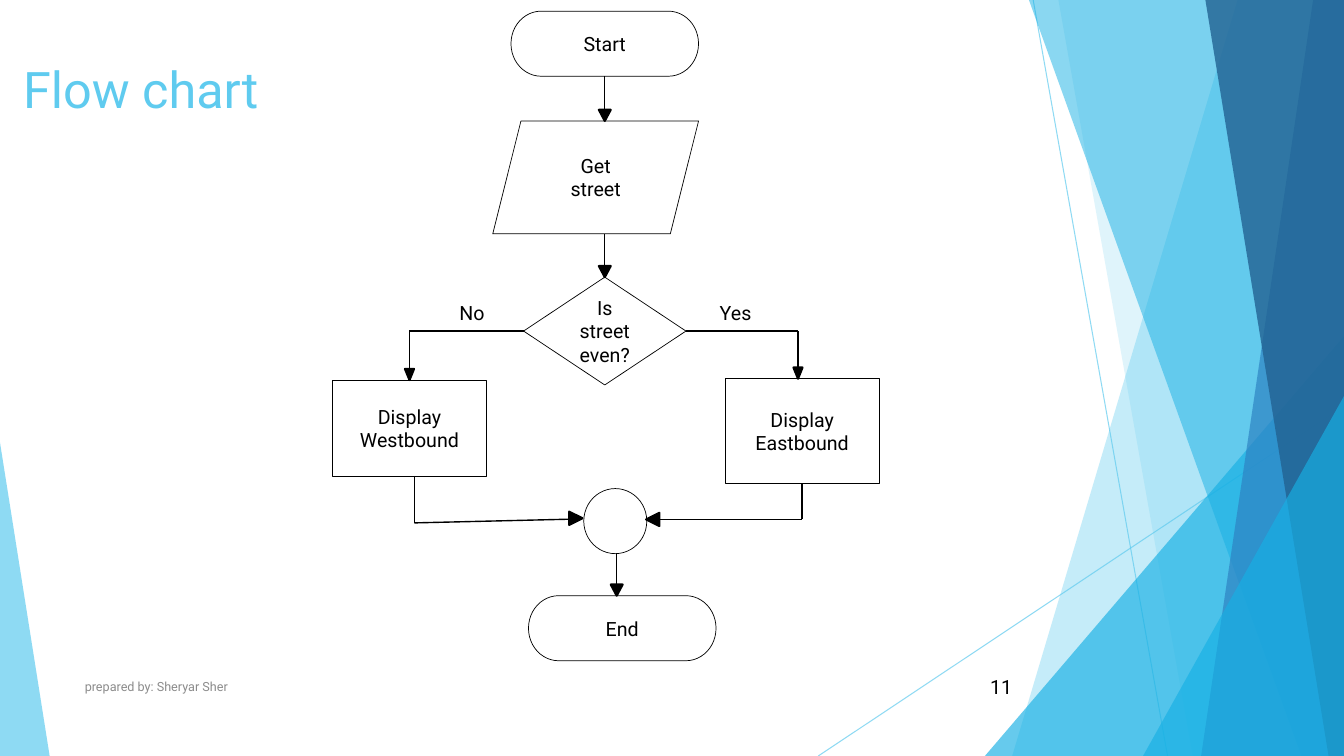
from pptx import Presentation
from pptx.dml.color import RGBColor
from pptx.enum.shapes import MSO_CONNECTOR, MSO_SHAPE
from pptx.enum.text import MSO_ANCHOR, PP_ALIGN
from pptx.oxml.ns import qn
from pptx.util import Pt
from lxml import etree

STRAIGHT = MSO_CONNECTOR.STRAIGHT
TERMINATOR = MSO_SHAPE.FLOWCHART_TERMINATOR
DECISION = MSO_SHAPE.FLOWCHART_DECISION
PARALLELOGRAM = MSO_SHAPE.PARALLELOGRAM
RECTANGLE = MSO_SHAPE.RECTANGLE
OVAL = MSO_SHAPE.OVAL
TRIANGLE = MSO_SHAPE.ISOSCELES_TRIANGLE
TOP, MIDDLE, BOTTOM = MSO_ANCHOR.TOP, MSO_ANCHOR.MIDDLE, MSO_ANCHOR.BOTTOM
LEFT, CENTER, RIGHT = PP_ALIGN.LEFT, PP_ALIGN.CENTER, PP_ALIGN.RIGHT
SIDE_TOP, SIDE_LEFT, SIDE_BOTTOM, SIDE_RIGHT = range(4)

WIDTH, HEIGHT = 960, 540
FONT = "Roboto"
COLORS = {
    "black": "000000",
    "white": "FFFFFF",
    "gray": "8C8C8C",
    "sky": "5FCBEF",
    "cyan": "17B0E4",
    "blue": "2E83C3",
    "navy": "226292",
}


def rgb(name):
    return RGBColor.from_string(COLORS[name])


def set_opacity(shape, percent):
    for color in shape.element.spPr.iter(qn("a:srgbClr")):
        etree.SubElement(color, qn("a:alpha")).set("val", str(percent * 1000))


class FlowSlide:
    def __init__(self, slide):
        self.shapes = slide.shapes

    def paint(self, shape, fill, line=None, line_width=0.5):
        shape.shadow.inherit = False
        shape.fill.solid()
        shape.fill.fore_color.rgb = rgb(fill)
        if line:
            shape.line.color.rgb = rgb(line)
            shape.line.width = Pt(line_width)
        else:
            shape.line.fill.background()

    def fill_text(self, frame, text, size, color, align):
        frame.text = text
        for paragraph in frame.paragraphs:
            paragraph.alignment = align
            paragraph.font.name = FONT
            paragraph.font.size = Pt(size)
            paragraph.font.color.rgb = rgb(color)

    def text(self, text, left, top, width, height, size=14, color="black",
             align=LEFT, anchor=TOP):
        box = self.shapes.add_textbox(Pt(left), Pt(top), Pt(width), Pt(height))
        box.text_frame.word_wrap = True
        box.text_frame.vertical_anchor = anchor
        self.fill_text(box.text_frame, text, size, color, align)

    def step(self, kind, left, top, width, height, text=""):
        """Add one outlined flow chart symbol with its label centred inside."""
        shape = self.shapes.add_shape(kind, Pt(left), Pt(top), Pt(width), Pt(height))
        self.paint(shape, "white", "black")
        if text:
            frame = shape.text_frame
            frame.margin_left = frame.margin_right = 0
            frame.margin_top = frame.margin_bottom = 0
            frame.vertical_anchor = MIDDLE
            self.fill_text(frame, text, 14, "black", CENTER)
        return shape

    def line(self, start, end, color="black", width=1, begin=None, finish=None):
        """Draw a line; begin and finish are (shape, side) pairs to join."""
        connector = self.shapes.add_connector(STRAIGHT, *map(Pt, start + end))
        connector.line.color.rgb = rgb(color)
        connector.line.width = Pt(width)
        etree.SubElement(connector.element.spPr, qn("a:effectLst"))
        if begin:
            connector.begin_connect(*begin)
        if finish:
            connector.end_connect(*finish)
        return connector

    def arrowhead(self, tip, direction, width=8.5, length=8):
        """Place a solid head whose tip points along direction (dx, dy)."""
        dx, dy = direction
        center_x = tip[0] - dx * length / 2
        center_y = tip[1] - dy * length / 2
        head = self.shapes.add_shape(
            TRIANGLE, Pt(center_x - width / 2), Pt(center_y - length / 2),
            Pt(width), Pt(length))
        head.rotation = {(0, 1): 180, (1, 0): 90, (-1, 0): 270}[direction]
        self.paint(head, "black", "black", 1.5)

    def band(self, top_x, bottom_x, color, opacity):
        """Fill from a slanted edge to the right side of the slide."""
        builder = self.shapes.build_freeform(Pt(top_x), 0)
        builder.add_line_segments(
            [(Pt(x), Pt(y)) for x, y in
             ((WIDTH, 0), (WIDTH, HEIGHT), (bottom_x, HEIGHT))])
        shape = builder.convert_to_shape()
        self.paint(shape, color)
        set_opacity(shape, opacity)

    def wedge(self, left, top, width, apex, color, opacity):
        """Add a right-angled triangle that stands on the slide's bottom edge."""
        shape = self.shapes.add_shape(
            TRIANGLE, Pt(left), Pt(top), Pt(width), Pt(HEIGHT - top))
        shape.adjustments[0] = apex
        self.paint(shape, color)
        set_opacity(shape, opacity)


def draw_background(page):
    for start, end in (((738, 0), (834, HEIGHT)), ((WIDTH, 290), (584.5, HEIGHT))):
        set_opacity(page.line(start, end, "sky", 0.75), 70)
    page.band(884, 723, "sky", 36)
    page.band(756, 852, "sky", 20)
    page.wedge(703.5, 240, 256.5, 1, "cyan", 66)
    page.band(735, 929.5, "cyan", 50)
    page.band(938, 858, "blue", 70)
    page.band(861, 949, "navy", 80)
    page.wedge(816.5, 283, 143.5, 1, "cyan", 66)
    page.wedge(0, 316, 35.5, 0, "sky", 70)


def draw_flow_chart(page):
    start = page.step(TERMINATOR, 365, 8, 134, 46.5, "Start")
    page.step(PARALLELOGRAM, 352, 86.4, 147, 80.6, "Get\nstreet")
    decision = page.step(DECISION, 374, 198, 116, 77, "Is\nstreet\neven?")
    west = page.step(RECTANGLE, 237.5, 271.5, 110, 68.5, "Display\nWestbound")
    east = page.step(RECTANGLE, 518, 270.5, 110, 75, "Display\nEastbound")
    page.step(OVAL, 417, 349, 45, 46.5)
    page.step(TERMINATOR, 377.5, 425.5, 134, 46.5, "End")

    page.line((432, 54.5), (432, 86.4), begin=(start, SIDE_BOTTOM))
    page.line((432, 167), (432, 198), finish=(decision, SIDE_TOP))
    page.line((440.5, 395.5), (440.5, 425.5))
    for tip in ((432, 86.4), (432, 198), (440.5, 425.5)):
        page.arrowhead(tip, (0, 1))

    page.line((374, 236.5), (292.5, 236.5), begin=(decision, SIDE_LEFT))
    page.line((292.5, 236.5), (292.5, 271.5), finish=(west, SIDE_TOP))
    page.line((490, 236.5), (570, 236.5), begin=(decision, SIDE_RIGHT))
    page.line((570, 236.5), (570, 270.5))
    for tip in ((292.5, 271.5), (570, 270.5)):
        page.arrowhead(tip, (0, 1), width=6.5)
    page.text("No", 321, 211.7, 48, 24.5)
    page.text("Yes", 507, 211.7, 48, 24.5)

    page.line((296, 340), (296, 373.5))
    page.line((296, 373.5), (409, 370.8))
    page.arrowhead((416, 370.2), (1, 0), 9.5, 9.5)
    page.line((573, 345.5), (573, 371), begin=(east, SIDE_BOTTOM))
    page.line((573, 371), (471.5, 371))
    page.arrowhead((461.5, 371), (-1, 0), 9.5, 9.5)


def main():
    deck = Presentation()
    deck.slide_width, deck.slide_height = Pt(WIDTH), Pt(HEIGHT)
    page = FlowSlide(deck.slides.add_slide(deck.slide_layouts[6]))
    draw_background(page)
    page.text("Flow chart", 9.4, 37.5, 186, 51, 36, "sky", anchor=BOTTOM)
    page.text("prepared by: Sheryar Sher", 53.5, 476, 496, 29, 9, "gray", anchor=MIDDLE)
    page.text("11", 676, 476, 54, 29, align=RIGHT, anchor=MIDDLE)
    draw_flow_chart(page)
    deck.save("out.pptx")


if __name__ == "__main__":
    main()
